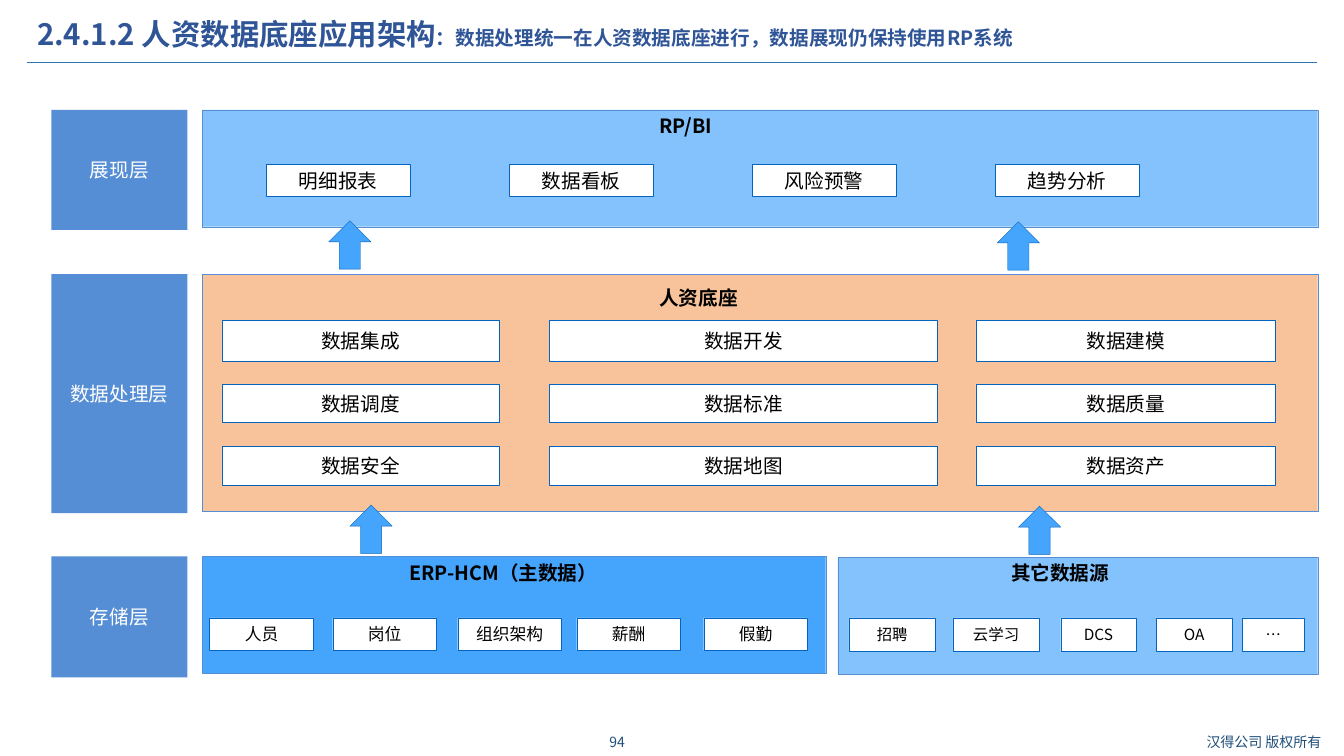
"""Build the application architecture slide of the HR data base."""
from lxml import etree
from pptx import Presentation, util as u
from pptx.dml.color import RGBColor
from pptx.enum import shapes, text
from pptx.oxml import ns

FONT = "Noto Sans CJK SC"
COLORS = {
    "white": "FFFFFF",
    "black": "000000",
    "title": "2F5597",
    "footer": "1F4E79",
    "rule": "2E75B6",
    "layer": "558ED5",
    "edge": "0365C0",
    "light": "83C2FD",
    "orange": "F8C39A",
    "blue": "45A4FC",
}


def rgb(name):
    """Return the named colour."""
    return RGBColor.from_string(COLORS[name])


def inches(*lengths):
    """Convert numbers to lengths in inches."""
    return [u.Inches(length) for length in lengths]


def write(paragraph, words, size=14, color="black", bold=False):
    """Add a formatted run to a paragraph."""
    run = paragraph.add_run()
    run.text = words
    font = run.font
    font.name, font.size, font.bold = FONT, u.Pt(size), bold
    font.color.rgb = rgb(color)
    etree.SubElement(font._element, ns.qn("a:ea"), typeface=FONT)


def add_text(slide, at, runs, align="LEFT", anchor="TOP"):
    """Add a text box holding one paragraph of (words, format) runs."""
    frame = slide.shapes.add_textbox(*inches(*at)).text_frame
    frame.word_wrap = True
    frame.vertical_anchor = getattr(text.MSO_ANCHOR, anchor)
    paragraph = frame.paragraphs[0]
    paragraph.alignment = getattr(text.PP_ALIGN, align)
    for words, style in runs:
        write(paragraph, words, **style)
    return paragraph


def add_block(slide, at, fill, edge=None, words="", kind="RECTANGLE", **style):
    """Add a filled preset shape with optional centred text."""
    shape = slide.shapes.add_shape(getattr(shapes.MSO_SHAPE, kind), *inches(*at))
    shape.shadow.inherit = False
    shape.fill.solid()
    shape.fill.fore_color.rgb = rgb(fill)
    if edge:
        shape.line.color.rgb = rgb(edge)
        shape.line.width = u.Pt(0.25)
    else:
        shape.line.fill.background()
    if words:
        frame = shape.text_frame
        frame.vertical_anchor = text.MSO_ANCHOR.MIDDLE
        frame.paragraphs[0].alignment = text.PP_ALIGN.CENTER
        write(frame.paragraphs[0], words, **style)


def add_item(slide, at, words, size=14):
    """Add a white component box."""
    add_block(slide, at, "white", "edge", words, size=size)


def add_panel(slide, at, fill, heading, heading_at):
    """Add a coloured panel with its bold heading."""
    add_block(slide, at, fill, "layer")
    add_text(slide, heading_at, [(heading, {"bold": True})])


def add_rule(slide):
    """Draw the line under the title."""
    rule = slide.shapes.add_connector(
        shapes.MSO_CONNECTOR.STRAIGHT, *inches(0.27, 0.62, 13.06, 0.62))
    rule.line.color.rgb = rgb("rule")
    rule.line.width = u.Pt(0.75)
    etree.SubElement(rule._element.spPr, ns.qn("a:effectLst"))


def add_frame(slide):
    """Add the title, its rule and the footer."""
    footer = {"size": 10, "color": "footer"}
    add_text(slide, (5.77, 7.23, 0.7, 0.27), [("94", footer)], "CENTER", "MIDDLE")
    add_text(slide, (11.74, 7.23, 1.59, 0.27), [("汉得公司 版权所有", footer)],
             "CENTER", "MIDDLE")
    add_rule(slide)
    title = add_text(slide, (0.27, 0.15, 11.57, 0.42), [
        ("2.4.1.2 人资数据底座应用架构", {"size": 21, "color": "title", "bold": True}),
        ("：数据处理统一在人资数据底座进行，数据展现仍保持使用RP系统",
         {"color": "title", "bold": True}),
    ], anchor="MIDDLE")
    title.line_spacing = 0.9


def add_layers(slide):
    """Add the layer names on the left."""
    for words, top, height in (("展现层", 1.09, 1.19), ("数据处理层", 2.72, 2.37),
                               ("存储层", 5.52, 1.2)):
        add_block(slide, (0.51, top, 1.35, height), "layer", words=words, color="white")


def add_presentation_layer(slide):
    """Add the reporting panel."""
    add_panel(slide, (2.01, 1.09, 11.06, 1.16), "light", "RP/BI", (6.44, 1.08, 1.01, 0.34))
    for column, words in enumerate(("明细报表", "数据看板", "风险预警", "趋势分析")):
        add_item(slide, (2.64 + 2.41 * column, 1.63, 1.43, 0.32), words)


def add_processing_layer(slide):
    """Add the data base panel with its grid of functions."""
    add_panel(slide, (2.01, 2.72, 11.06, 2.35), "orange", "人资底座",
              (6.44, 2.79, 1.72, 0.34))
    columns = ((2.2, 2.75), (5.45, 3.85), (9.68, 2.97))
    rows = (
        (3.18, 0.4, ("数据集成", "数据开发", "数据建模")),
        (3.81, 0.38, ("数据调度", "数据标准", "数据质量")),
        (4.43, 0.38, ("数据安全", "数据地图", "数据资产")),
    )
    for top, height, names in rows:
        for (left, width), words in zip(columns, names):
            add_item(slide, (left, top, width, height), words)


def add_storage_layer(slide):
    """Add the master data and other source panels."""
    add_panel(slide, (2.01, 5.52, 6.18, 1.16), "blue", "ERP-HCM（主数据）",
              (3.96, 5.52, 2.28, 0.34))
    for left, words in ((2.08, "人员"), (3.3, "岗位"), (4.54, "组织架构"),
                        (5.72, "薪酬"), (6.98, "假勤")):
        add_item(slide, (left, 6.13, 1.03, 0.32), words, size=12)
    add_panel(slide, (8.31, 5.53, 4.76, 1.16), "light", "其它数据源",
              (9.93, 5.52, 1.5, 0.34))
    for left, width, words in ((8.42, 0.86, "招聘"), (9.45, 0.86, "云学习"),
                               (10.52, 0.75, "DCS"), (11.47, 0.75, "OA"),
                               (12.32, 0.62, "…")):
        add_item(slide, (left, 6.13, width, 0.33), words, size=11)


def add_arrows(slide):
    """Add the upward arrows between the layers."""
    for left, top in ((3.47, 5.01), (10.1, 5.02), (3.26, 2.19), (9.89, 2.2)):
        add_block(slide, (left, top, 0.42, 0.48), "blue", "edge", kind="UP_ARROW")


def main():
    """Build and save the presentation."""
    presentation = Presentation()
    presentation.slide_width, presentation.slide_height = inches(13.33, 7.5)
    slide = presentation.slides.add_slide(presentation.slide_layouts[6])
    add_frame(slide)
    add_layers(slide)
    add_presentation_layer(slide)
    add_processing_layer(slide)
    add_storage_layer(slide)
    add_arrows(slide)
    presentation.save("out.pptx")


if __name__ == "__main__":
    main()
